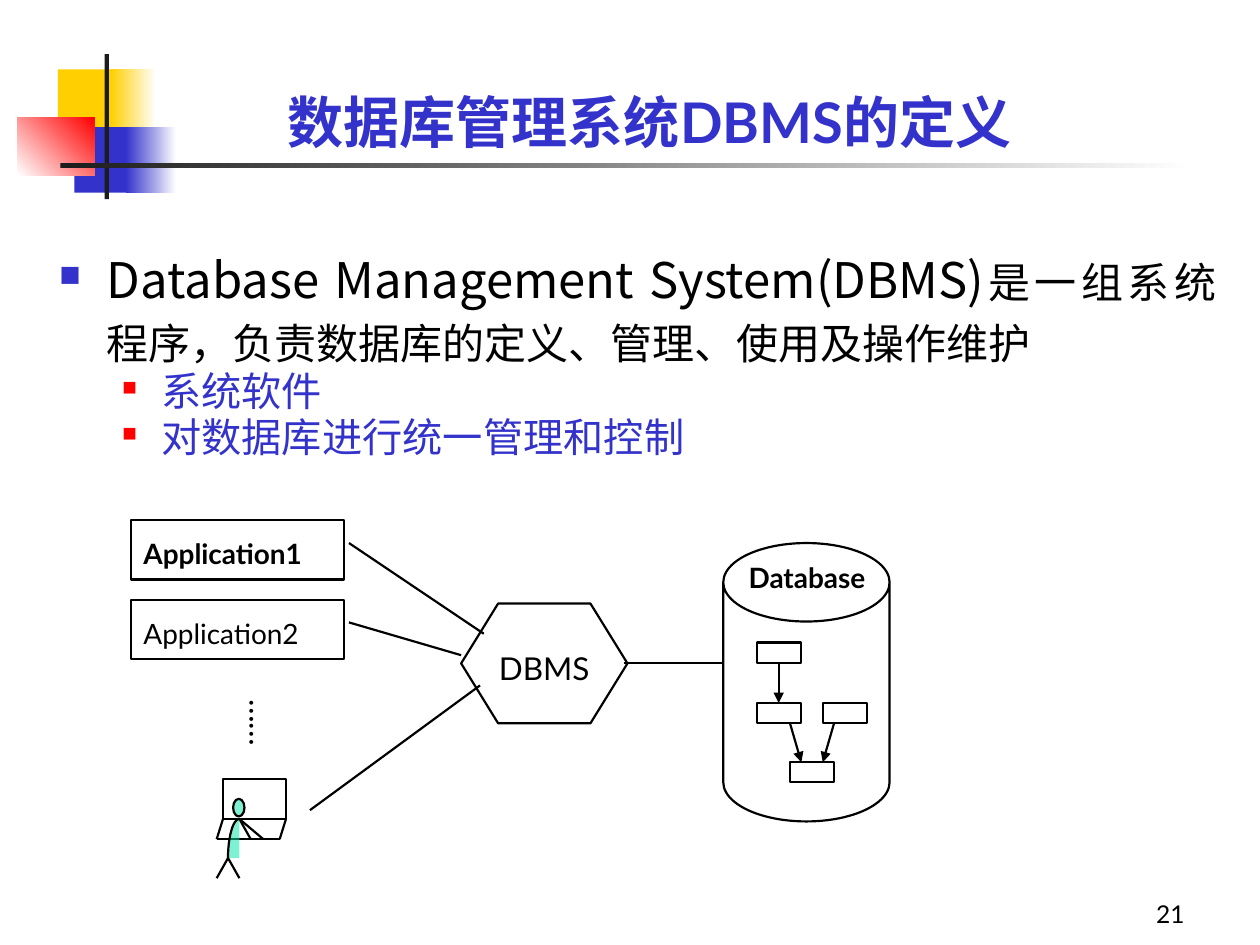
from math import cos, pi, sin

from lxml import etree
from pptx import Presentation
from pptx.dml.color import RGBColor
from pptx.enum.shapes import MSO_CONNECTOR, MSO_SHAPE
from pptx.enum.text import MSO_ANCHOR, PP_ALIGN
from pptx.oxml.ns import qn
from pptx.util import Emu, Inches, Pt

RECT, CAN, HEXAGON = MSO_SHAPE.RECTANGLE, MSO_SHAPE.CAN, MSO_SHAPE.HEXAGON
HEAD = MSO_SHAPE.FLOWCHART_CONNECTOR
STRAIGHT = MSO_CONNECTOR.STRAIGHT
LEFT, CENTER, RIGHT, JUSTIFY = PP_ALIGN.LEFT, PP_ALIGN.CENTER, PP_ALIGN.RIGHT, PP_ALIGN.JUSTIFY
TOP, BOTTOM = MSO_ANCHOR.TOP, MSO_ANCHOR.BOTTOM

BLACK = RGBColor(0x00, 0x00, 0x00)
WHITE = RGBColor(0xFF, 0xFF, 0xFF)
YELLOW = RGBColor(0xFF, 0xCF, 0x01)
BLUE = RGBColor(0x33, 0x33, 0xCC)
RED = RGBColor(0xFF, 0x00, 0x00)
CHARCOAL = RGBColor(0x1C, 0x1C, 0x1C)
MINT = RGBColor(0x00, 0xE4, 0xA8)

prs = Presentation()
prs.slide_width, prs.slide_height = Inches(10), Inches(7.5)
CELL = prs.slide_width / 100  # the slide is a grid of 100 columns by 75 rows
slide = prs.slides.add_slide(prs.slide_layouts[6])
shapes = slide.shapes


def add_outlined(kind, *box):
    """Add an unfilled black-outlined shape; box is left, top, width, height in cells."""
    shape = shapes.add_shape(kind, *(Emu(round(v * CELL)) for v in box))
    shape.shadow.inherit = False
    shape.fill.background()
    shape.line.color.rgb = BLACK
    shape.line.width = Pt(1.25)
    return shape


def add_line(*ends, arrow=False):
    """Add a black line; ends are x1, y1, x2, y2 in cells."""
    line = shapes.add_connector(STRAIGHT, *(Emu(round(v * CELL)) for v in ends))
    line.line.color.rgb = BLACK
    line.line.width = Pt(1.25)
    if arrow:
        etree.SubElement(line.line._get_or_add_ln(), qn("a:tailEnd"), type="triangle")
    etree.SubElement(line._element.spPr, qn("a:effectLst"))


# Corner decoration: one colour is solid, two are a gradient
for box, colors, angle in [
    ((4.6, 5.5, 4.8, 5.2), [YELLOW], 0),
    ((8.8, 5.5, 3.6, 5.2), [YELLOW, WHITE], 0),
    ((5.9, 10.1, 4.6, 5.2), [BLUE], 0),
    ((10, 10.1, 4, 5.2), [BLUE, WHITE], 0),
    ((1.4, 9.3, 6.1, 4.6), [WHITE, RED], 45),
    ((8.3, 4.3, 0.35, 11.5), [CHARCOAL], 0),
    ((4.8, 12.95, 90, 0.35), [CHARCOAL, WHITE], 0),
]:
    block = add_outlined(RECT, *box)
    block.line.fill.background()
    if len(colors) == 1:
        block.fill.solid()
        block.fill.fore_color.rgb = colors[0]
    else:
        block.fill.gradient()
        block.fill.gradient_angle = angle
        for stop, color, position in zip(block.fill.gradient_stops, colors, (0, 1)):
            stop.color.rgb = color
            stop.position = position

# Definition and its two points
definition = shapes.add_textbox(*(Emu(round(v * CELL)) for v in (3.7, 19.3, 93.8, 19))).text_frame
definition.word_wrap = True
for i, (runs, color, bullet_color, bullet_size, margin, hang, pitch) in enumerate([
    ([("Database Management System(DBMS)", 28), ("是一组系统程序，负责数据库的定义、管理、使用及操作维护", 24)],
     BLACK, BLUE, 60, 0.38, 0.38, 34),
    ([("系统软件", 23)], BLUE, RED, 50, 0.81, 0.31, 26.3),
    ([("对数据库进行统一管理和控制", 23)], BLUE, RED, 50, 0.81, 0.31, 26.3),
]):
    point = definition.paragraphs[0] if i == 0 else definition.add_paragraph()
    point.alignment = JUSTIFY
    point.line_spacing = Pt(pitch)
    point.level = min(i, 1)
    props = point._p.get_or_add_pPr()
    props.set("marL", str(Inches(margin)))
    props.set("indent", str(-Inches(hang)))
    tint = etree.SubElement(props, qn("a:buClr"))
    etree.SubElement(tint, qn("a:srgbClr"), val=str(bullet_color))
    etree.SubElement(props, qn("a:buSzPct"), val=str(bullet_size * 1000))
    etree.SubElement(props, qn("a:buChar"), char="■")
    point.font.name = "Noto Sans CJK JP"
    point.font.color.rgb = color
    for words, size in runs:
        run = point.add_run()
        run.text = words
        run.font.size = Pt(size)

# User at a terminal
add_outlined(RECT, 17.7, 61.8, 5, 3.2)
for ends in [
    (19, 65, 19.9, 66.6), (19, 65, 20.9, 66.6),
    (17.7, 65, 17.2, 66.6), (22.7, 65, 22.2, 66.6), (17.2, 66.6, 22.2, 66.6),
    (18.1, 68.1, 19, 69.7), (18.1, 68.1, 17.2, 69.7),
]:
    add_line(*ends)
head = add_outlined(HEAD, 18.5, 63.4, 0.9, 1.4)
back = [(19 - 0.9 * sin(t * pi / 24), 68.1 - 3.1 * cos(t * pi / 24)) for t in range(13)]
torso_parts = []
for outline, closed in [(back + [(19, 68.1)], True), (back, False)]:
    builder = shapes.build_freeform(*(round(v * CELL) for v in outline[0]))
    builder.add_line_segments([(round(x * CELL), round(y * CELL)) for x, y in outline[1:]], close=closed)
    part = builder.convert_to_shape()
    part.shadow.inherit = False
    torso_parts.append(part)
torso, spine = torso_parts
torso.line.fill.background()
spine.fill.background()
spine.line.color.rgb = BLACK
spine.line.width = Pt(1.25)
for body_part in (head, torso):
    body_part.fill.solid()
    body_part.fill.fore_color.rgb = MINT
    mint = body_part._element.spPr.find(qn("a:solidFill"))[0]
    etree.SubElement(mint, qn("a:alpha"), val="50000")

# System, database and the records inside it
dbms = add_outlined(HEXAGON, 36.6, 47.9, 13.2, 9.5)
dbms.adjustments[0], dbms.adjustments[1] = 0.309, 1.155
database = add_outlined(CAN, 57.4, 43.1, 13.2, 22.1)
database.adjustments[0] = 0.472
for left, top in [(60.1, 51), (60.1, 55.8), (65.3, 55.8), (62.7, 60.5)]:
    add_outlined(RECT, left, top, 3.5, 1.6)
for ends in [(61.8, 52.6, 61.8, 55.8), (62.7, 57.4, 63.6, 60.5), (66.2, 57.4, 65.3, 60.5)]:
    add_line(*ends, arrow=True)
for ends in [(49.5, 52.6, 57.4, 52.6), (27.7, 43.1, 38.4, 50.3),
             (27.7, 49.4, 36.6, 52), (24.6, 64.3, 38.1, 54.4)]:
    add_line(*ends)
applications = [add_outlined(RECT, 10.4, top, 16.9, 4.7) for top in (41.3, 47.6)]

title, page_number, database_label, dots = [
    shapes.add_textbox(*(Emu(round(v * CELL)) for v in box))
    for box in [(10.4, 4.2, 82.3, 8.6), (74.2, 69.2, 20.8, 5),
                (58.4, 44.5, 11.3, 3.1), (17.8, 54.5, 5, 6.6)]
]
dots.text_frame._txBody.bodyPr.set("vert", "eaVert")

# Insets are left, top, right, bottom in inches
plain, label = (0.1, 0.05, 0.1, 0.05), (0.1, 0.13, 0.1, 0.05)
for holder, words, size, color, bold, align, anchor, insets in [
    (title, "数据库管理系统DBMS的定义", 32, BLUE, True, CENTER, BOTTOM, plain),
    (page_number, "21", 14, BLACK, False, RIGHT, BOTTOM, plain),
    (dbms, "DBMS", 18, BLACK, False, CENTER, TOP, (0, 0.21, 0, 0.05)),
    (applications[0], "Application1", 16, BLACK, True, JUSTIFY, TOP, label),
    (applications[1], "Application2", 16, BLACK, False, JUSTIFY, TOP, label),
    (database_label, "Database", 16, BLACK, True, CENTER, TOP, (0, 0, 0, 0)),
    (dots, "……", 18, BLACK, False, LEFT, TOP, plain),
]:
    frame = holder.text_frame
    frame.word_wrap = True
    frame.vertical_anchor = anchor
    frame.margin_left, frame.margin_top, frame.margin_right, frame.margin_bottom = map(Inches, insets)
    caption = frame.paragraphs[0]
    caption.text = words
    caption.alignment = align
    caption.font.name = "Lato"
    caption.font.size = Pt(size)
    caption.font.bold = bold
    caption.font.color.rgb = color

prs.save("out.pptx")
